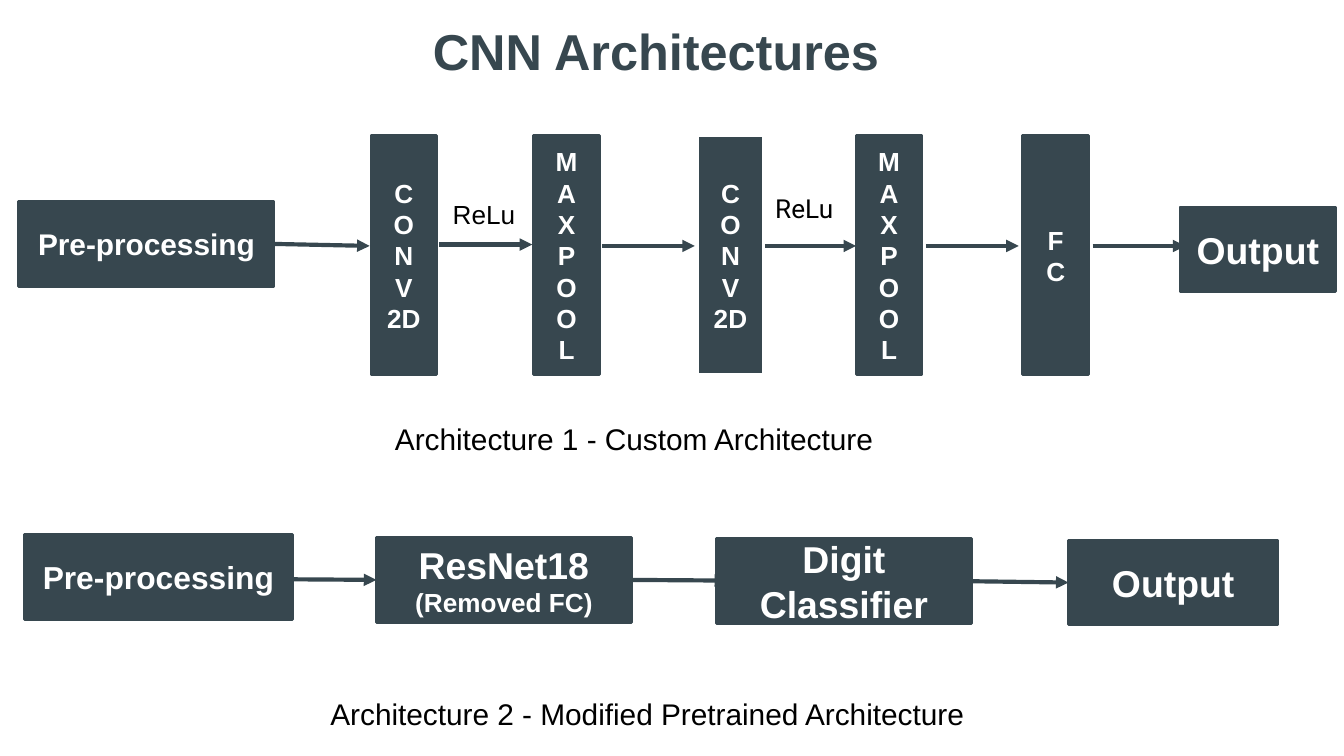
from typing import NamedTuple

from lxml import etree
from pptx import Presentation
from pptx.dml.color import RGBColor
from pptx.enum import shapes, text
from pptx.oxml.ns import qn
from pptx.util import Inches, Pt

COLORS = {"slate": "37474F", "white": "FFFFFF", "black": "000000"}
WIDTH = 10
HEIGHT = WIDTH * 9 / 16
INSET = 0.1
REACH = 0.69  # length of every arrow
RIGHT, LEFT = 3, 1  # connection sites


class Box(NamedTuple):
    x: float
    y: float
    w: float
    h: float
    words: str
    sizes: tuple
    edge: str = "slate"


class Label(NamedTuple):
    x: float
    y: float
    w: float
    h: float
    words: str
    size: float
    font: str = "Arial"


class Arrow(NamedTuple):
    x: float
    y: float


def layer(x: float, words: str, edge: str = "slate") -> Box:
    """A tall network layer with its name stacked downwards."""
    return Box(x, 1.01, 0.49, 1.78, words, (14,), edge)


def step(x: float, y: float, w: float, words: str, *sizes: float) -> Box:
    """A wide process step."""
    return Box(x, y, w, 0.63, words, sizes)


CONV = "C\nO\nN\nV\n2D"
POOL = "M\nA\nX\nP\nO\nO\nL"

BOXES = [
    step(0.14, 1.5, 1.9, "Pre-processing", 16),
    layer(2.76, CONV),
    layer(3.97, POOL),
    layer(5.19, CONV, "white"),
    layer(6.37, POOL),
    layer(7.61, "F\nC"),
    step(8.78, 1.54, 1.16, "Output", 20),
    step(0.18, 3.98, 2, "Pre-processing", 17),
    step(2.8, 4, 1.9, "ResNet18\n(Removed FC)", 20, 14),
    step(5.33, 4.01, 1.9, "Digit Classifier", 20),
    step(7.95, 4.02, 1.56, "Output", 20),
]

ARROWS = [
    Arrow(2.06, 1.83), Arrow(3.27, 1.82), Arrow(4.48, 1.83),
    Arrow(5.68, 1.83), Arrow(6.89, 1.83), Arrow(8.13, 1.83),
    Arrow(2.09, 4.31), Arrow(4.72, 4.32), Arrow(7.24, 4.33),
]

# Arrow index to box index, where the end meets the middle of a side
STARTS = {0: 0, 7: 8, 8: 9}
ENDS = {6: 8, 8: 10}

LABELS = [
    Label(3.27, 1.38, 0.69, 0.33, "ReLu", 14),
    Label(5.67, 1.33, 0.76, 0.44, "ReLu", 14, "Roboto"),
    Label(2.84, 3.03, 5.98, 0.55, "Architecture 1 - Custom Architecture", 16),
    Label(2.36, 5.08, 6.42, 0.44,
          "Architecture 2 - Modified Pretrained Architecture", 16),
]
TITLE = Label(3.12, 0.05, 4.12, 0.55, "CNN Architectures", 27)


def tint(name: str) -> RGBColor:
    return RGBColor.from_string(COLORS[name])


def write(shape, words: str, sizes: tuple, color: str, bold: bool,
          align, anchor, font: str = "Arial") -> None:
    """Fill a shape with text; the last size serves all further lines."""
    frame = shape.text_frame
    frame.text = words
    frame.word_wrap = True
    frame.auto_size = text.MSO_AUTO_SIZE.NONE
    frame.vertical_anchor = anchor
    frame.margin_left = frame.margin_right = Inches(INSET)
    frame.margin_top = frame.margin_bottom = Inches(INSET)
    for i, para in enumerate(frame.paragraphs):
        para.alignment = align
        for run in para.runs:
            run.font.name = font
            run.font.size = Pt(sizes[min(i, len(sizes) - 1)])
            run.font.bold = bold
            run.font.color.rgb = tint(color)


def add_box(slide, box: Box):
    shape = slide.shapes.add_shape(
        shapes.MSO_SHAPE.RECTANGLE, *map(Inches, box[:4]))
    shape.shadow.inherit = False
    shape.fill.solid()
    shape.fill.fore_color.rgb = tint("slate")
    shape.line.color.rgb = tint(box.edge)
    shape.line.width = Pt(1.5)
    write(shape, box.words, box.sizes, "white", True,
          text.PP_ALIGN.CENTER, text.MSO_ANCHOR.MIDDLE)
    return shape


def add_arrow(slide, arrow: Arrow):
    line = slide.shapes.add_connector(
        shapes.MSO_CONNECTOR.STRAIGHT, Inches(arrow.x), Inches(arrow.y),
        Inches(arrow.x + REACH), Inches(arrow.y))
    line.line.color.rgb = tint("slate")
    line.line.width = Pt(2.25)
    etree.SubElement(line.line._get_or_add_ln(), qn("a:tailEnd"),
                     type="triangle")
    etree.SubElement(line._element.spPr, qn("a:effectLst"))
    return line


def add_label(slide, label: Label) -> None:
    shape = slide.shapes.add_textbox(*map(Inches, label[:4]))
    write(shape, label.words, (label.size,), "black", False,
          text.PP_ALIGN.LEFT, text.MSO_ANCHOR.TOP, label.font)


def set_title(slide, label: Label) -> None:
    title = slide.shapes.title
    title.left, title.top, title.width, title.height = map(Inches, label[:4])
    write(title, label.words, (label.size,), "slate", True,
          text.PP_ALIGN.LEFT, text.MSO_ANCHOR.TOP, label.font)


def main() -> None:
    deck = Presentation()
    deck.slide_width, deck.slide_height = Inches(WIDTH), Inches(HEIGHT)
    slide = deck.slides.add_slide(deck.slide_layouts[5])
    set_title(slide, TITLE)

    # Arrows lie beneath the boxes, which hide two of the heads
    arrows = [add_arrow(slide, arrow) for arrow in ARROWS]
    boxes = [add_box(slide, box) for box in BOXES]
    for arrow, box in STARTS.items():
        arrows[arrow].begin_connect(boxes[box], RIGHT)
    for arrow, box in ENDS.items():
        arrows[arrow].end_connect(boxes[box], LEFT)

    for label in LABELS:
        add_label(slide, label)
    deck.save("out.pptx")


if __name__ == "__main__":
    main()
